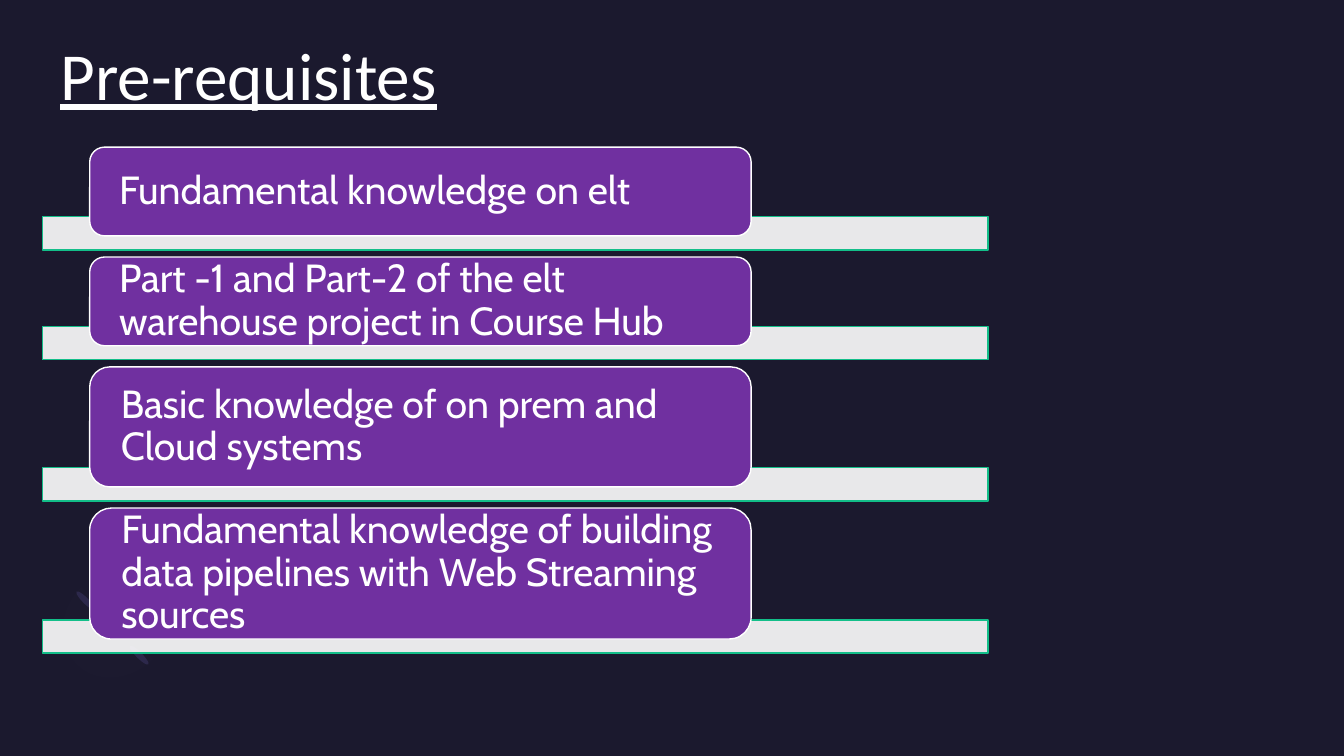
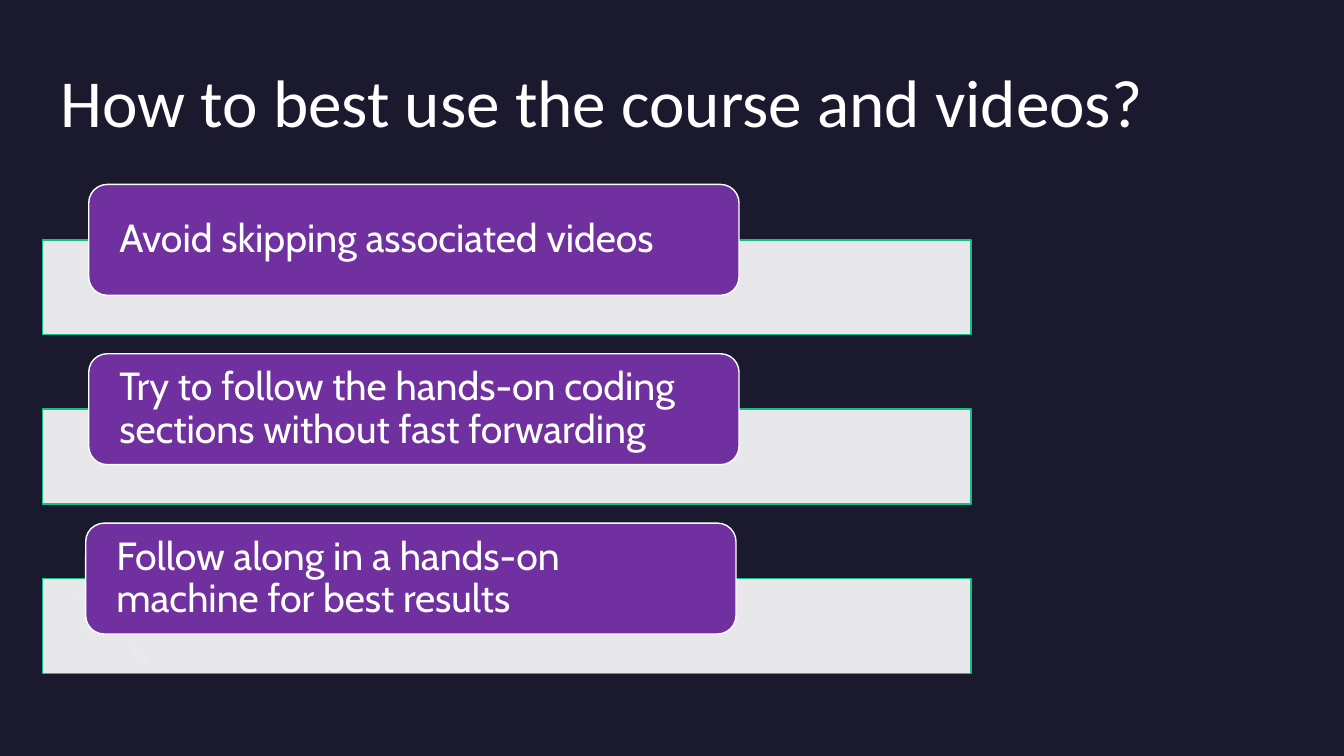
from lxml import etree
from pptx import Presentation
from pptx.dml.color import RGBColor
from pptx.enum import shapes, text
from pptx.oxml import ns
from pptx.util import Inches, Pt

COLORS = {
    "night": "1B192E", "white": "FFFFFF", "purple": "7030A0",
    "green": "13BE89", "dash": "2C284A", "lilac": "7771B2",
}
TITLE_FONT, CARD_FONT = "Calibri", "Cabin"
BAND_LEFT = 0.42
CARD_PAD = 0.25
ARC_START = (0.76, 6.59)
# Each side of the arc: its cubic curves, then the straight line that follows.
ARC_SIDES = [
    ([[(0.56, 6.39), (0.58, 6.05), (0.81, 5.82)]], (0.99, 6)),
    ([[(0.87, 6.11), (0.86, 6.29), (0.96, 6.38)],
      [(1.06, 6.48), (1.23, 6.47), (1.35, 6.36)]], (1.52, 6.54)),
    ([[(1.3, 6.76), (0.95, 6.79), (0.76, 6.59)]], ARC_START),
]


def rgb(name):
    return RGBColor.from_string(COLORS[name])


def paint(shape, fill, line=None, opacity=100):
    shape.shadow.inherit = False
    shape.fill.solid()
    shape.fill.fore_color.rgb = rgb(fill)
    if opacity < 100:
        color = shape.fill._xPr.find(".//" + ns.qn("a:srgbClr"))
        etree.SubElement(color, ns.qn("a:alpha"), val=str(opacity * 1000))
    if line:
        shape.line.color.rgb = rgb(line)
        shape.line.width = Pt(1)
    else:
        shape.line.fill.background()


def add_block(page, kind, left, top, width, height, **colors):
    block = page.shapes.add_shape(
        kind, Inches(left), Inches(top), Inches(width), Inches(height))
    paint(block, **colors)
    return block


def write(box, words, font, size, underline=False, spacing=1.0, pad=0,
          anchor=text.MSO_ANCHOR.TOP):
    frame = box.text_frame
    frame.word_wrap = True
    frame.vertical_anchor = anchor
    frame.margin_left = frame.margin_right = Inches(pad)
    frame.margin_top = frame.margin_bottom = 0
    para = frame.paragraphs[0]
    para.alignment = text.PP_ALIGN.LEFT
    para.line_spacing = spacing
    span = para.add_run()
    span.text = words
    span.font.name = font
    span.font.size = Pt(size)
    span.font.underline = underline
    span.font.color.rgb = rgb("white")


def curve_points(start, bend_a, bend_b, end, steps=10):
    """Points along a cubic curve, without its start."""
    for step in range(1, steps + 1):
        t = step / steps
        weights = ((1 - t) ** 3, 3 * t * (1 - t) ** 2, 3 * t * t * (1 - t), t ** 3)
        yield tuple(sum(w * point[axis] for w, point in
                        zip(weights, (start, bend_a, bend_b, end)))
                    for axis in (0, 1))


def add_ornament(page):
    """Two slanted dashes and a faint open arc in the lower left corner."""
    for left, top in ((1.35, 6.37), (0.82, 5.83)):
        dash = add_block(page, shapes.MSO_SHAPE.OVAL, left, top, 0.06, 0.26,
                         fill="dash")
        dash.rotation = 135
    points = [ARC_START]
    for curves, corner in ARC_SIDES:
        for curve in curves:
            points.extend(curve_points(points[-1], *curve))
        points.append(corner)
    start, *rest = [(Inches(x), Inches(y)) for x, y in points]
    outline = page.shapes.build_freeform(*start)
    outline.add_line_segments(rest, close=True)
    paint(outline.convert_to_shape(), "lilac", opacity=1)


def add_title(page, words, top, height, underline=False):
    box = page.shapes.add_textbox(
        Inches(0.6), Inches(top), Inches(12.13), Inches(height))
    write(box, words, TITLE_FONT, 48, underline=underline)


def add_card_list(page, rows, top, gap, overlap, card_width, band_size):
    """Stack cards given as (words, left, height), each over a wide band."""
    for words, left, height in rows:
        add_block(page, shapes.MSO_SHAPE.RECTANGLE, BAND_LEFT,
                  top + height - overlap, *band_size,
                  fill="white", line="green", opacity=90)
        card = add_block(page, shapes.MSO_SHAPE.ROUNDED_RECTANGLE, left, top,
                         card_width, height, fill="purple", line="white")
        write(card, words, CARD_FONT, 28, spacing=0.9, pad=CARD_PAD,
              anchor=text.MSO_ANCHOR.MIDDLE)
        top += height + gap


def add_page(deck):
    page = deck.slides.add_slide(deck.slide_layouts[6])
    add_ornament(page)
    return page


def add_prerequisites(deck):
    page = add_page(deck)
    add_title(page, "Pre-requisites", 0.33, 0.97, underline=True)
    rows = [
        ("Fundamental knowledge on elt", 0.89, 0.88),
        ("Part -1 and Part-2 of the elt warehouse project in Course Hub",
         0.89, 0.88),
        ("Basic knowledge of on prem and Cloud systems", 0.89, 1.19),
        ("Fundamental knowledge of building data pipelines with Web "
         "Streaming sources", 0.89, 1.3),
    ]
    add_card_list(page, rows, top=1.46, gap=0.21, overlap=0.19,
                  card_width=6.56, band_size=(9.38, 0.33))


def add_course_tips(deck):
    page = add_page(deck)
    add_title(page, "How to best use the course and videos?", 0.6, 1.46)
    rows = [
        ("Avoid skipping associated videos", 0.88, 1.1),
        ("Try to follow the hands-on coding sections without fast forwarding",
         0.88, 1.1),
        ("Follow along in a hands-on machine for best results", 0.85, 1.1),
    ]
    add_card_list(page, rows, top=1.83, gap=0.58, overlap=0.55,
                  card_width=6.45, band_size=(9.21, 0.94))


def main():
    deck = Presentation()
    deck.slide_width, deck.slide_height = Inches(13.33), Inches(7.5)
    backdrop = deck.slide_master.background.fill
    backdrop.solid()
    backdrop.fore_color.rgb = rgb("night")
    add_prerequisites(deck)
    add_course_tips(deck)
    deck.save("out.pptx")


if __name__ == "__main__":
    main()
